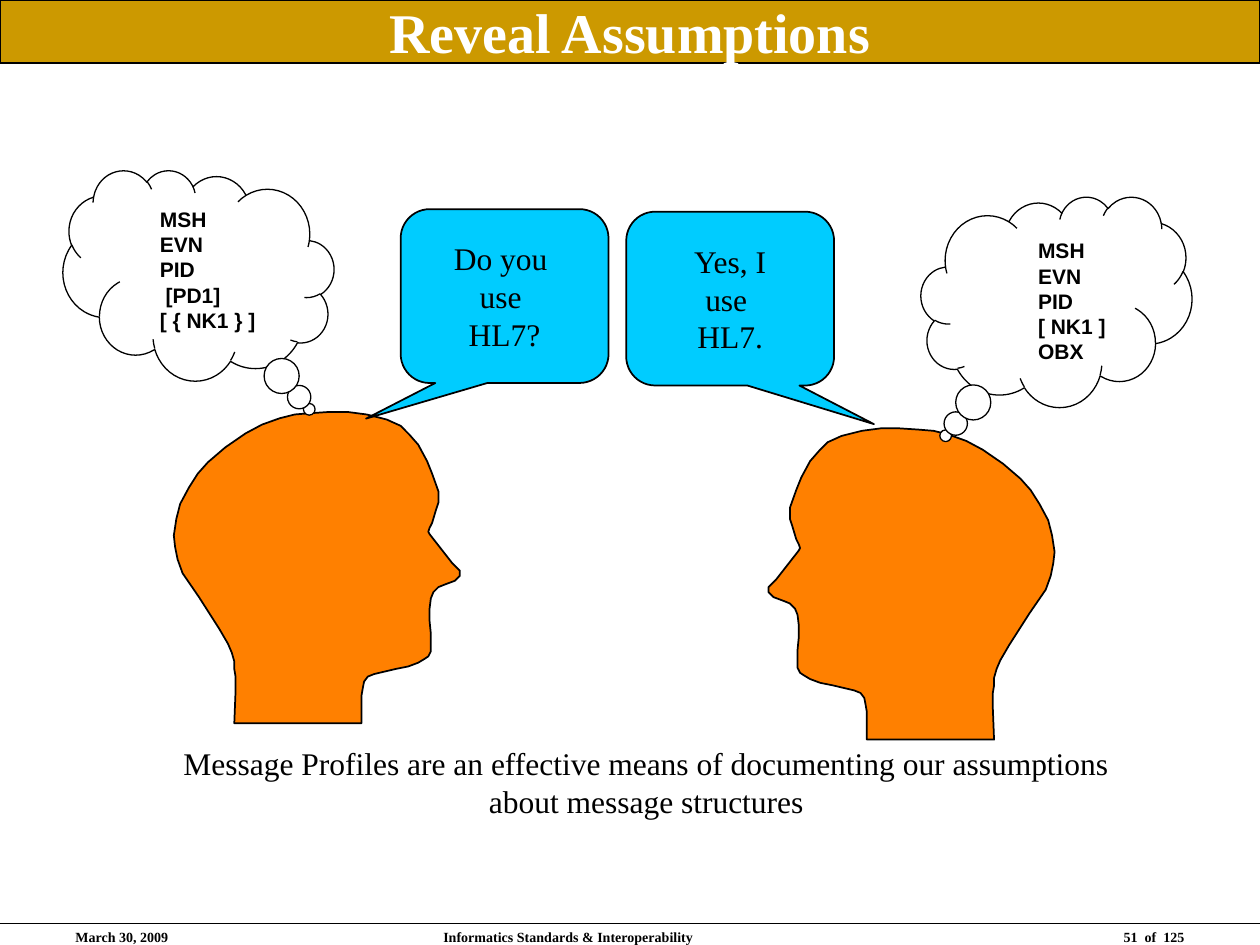
from dataclasses import dataclass

from pptx import Presentation
from pptx.dml.color import RGBColor
from pptx.enum.shapes import MSO_CONNECTOR, MSO_SHAPE
from pptx.enum.text import MSO_ANCHOR, MSO_AUTO_SIZE, PP_ALIGN
from pptx.oxml import parse_xml
from pptx.oxml.ns import nsdecls
from pptx.shapes.autoshape import Shape
from pptx.slide import Slide
from pptx.util import Emu, Pt

LEFT, CENTER, RIGHT = PP_ALIGN.LEFT, PP_ALIGN.CENTER, PP_ALIGN.RIGHT
TOP, MIDDLE = MSO_ANCHOR.TOP, MSO_ANCHOR.MIDDLE
RECTANGLE = MSO_SHAPE.RECTANGLE
SPEECH = MSO_SHAPE.ROUNDED_RECTANGULAR_CALLOUT
THOUGHT = MSO_SHAPE.CLOUD_CALLOUT
FIT_SHAPE = MSO_AUTO_SIZE.SHAPE_TO_FIT_TEXT
STRAIGHT = MSO_CONNECTOR.STRAIGHT

EMU_PER_PX = 9144  # 100 px to the inch
SLIDE_WIDTH, SLIDE_HEIGHT = 1000, 750


@dataclass(frozen=True)
class TextStyle:
    font: str
    size: int
    color: str = "000000"
    bold: bool = False


@dataclass(frozen=True)
class Theme:
    black: str = "000000"
    white: str = "FFFFFF"
    gold: str = "CC9900"
    cyan: str = "00CCFF"
    orange: str = "FF8000"
    thin: float = 0.75
    medium: float = 1
    title: TextStyle = TextStyle("Times New Roman", 32, "FFFFFF", True)
    body: TextStyle = TextStyle("Times New Roman", 18)
    segments: TextStyle = TextStyle("Arial", 12, bold=True)
    footer: TextStyle = TextStyle("Times New Roman", 8, bold=True)


THEME = Theme()


@dataclass(frozen=True)
class Box:
    left: int
    top: int
    width: int
    height: int

    def emu(self) -> list[Emu]:
        return [px(n) for n in (self.left, self.top, self.width, self.height)]


@dataclass(frozen=True)
class Speaker:
    head: tuple[int, int]
    mirrored: bool
    speech: Box
    tail: tuple[float, float]
    words: tuple[str, ...]
    cloud: Box
    segment_box: Box
    segments: tuple[str, ...]


# Head outline facing right, relative to its top left corner
HEAD_WIDTH = 227
HEAD_OUTLINE = [
    (149, 247), (149, 225), (150, 219), (151, 214), (154, 210), (159, 208),
    (176, 204), (186, 202), (194, 199), (199, 196), (202, 194), (204, 190),
    (204, 184), (204, 176), (203, 166), (203, 156), (204, 148), (206, 143),
    (210, 139), (215, 137), (223, 134), (225, 132), (227, 130), (227, 126),
    (224, 123), (221, 120), (203, 97), (202, 95), (203, 92), (205, 88),
    (208, 78), (210, 72), (210, 63), (205, 49), (201, 39), (194, 26),
    (187, 18), (180, 11), (169, 6), (153, 2), (138, 0), (123, 0),
    (108, 1), (96, 2), (84, 5), (70, 10), (57, 17), (41, 28),
    (34, 34), (27, 40), (19, 49), (12, 60), (5, 73), (2, 85),
    (0, 98), (1, 107), (3, 117), (7, 128), (20, 147), (36, 172),
    (43, 184), (46, 191), (48, 198), (48, 204), (49, 210), (49, 222),
    (48, 247),
]

SPEAKERS = [
    Speaker((138, 327), False, Box(318, 166, 165, 138), (-0.667, 0.705),
            ("Do you ", "use ", "HL7?"), Box(50, 135, 215, 167),
            Box(117, 159, 142, 110),
            ("MSH", "EVN", "PID", " [PD1]", "[ { NK1 } ]")),
    Speaker((610, 340), True, Box(497, 168, 165, 138), (-0.692, 0.722),
            ("Yes, I", "use ", "HL7."), Box(731, 156, 215, 167),
            Box(814, 184, 142, 110),
            ("MSH", "EVN", "PID", "[ NK1 ]", "OBX")),
]

FOOTERS = [
    (Box(50, 732, 233, 17), "March 30, 2009", LEFT),
    (Box(342, 732, 317, 17), "Informatics Standards & Interoperability", LEFT),
    (Box(717, 732, 233, 17), "51  of  125", RIGHT),
]


def px(length: int) -> Emu:
    return Emu(length * EMU_PER_PX)


def write(shape: Shape, lines: tuple[str, ...], style: TextStyle,
          align: PP_ALIGN = LEFT, anchor: MSO_ANCHOR = TOP,
          wrap: bool = True) -> None:
    frame = shape.text_frame
    frame.word_wrap = wrap
    frame.vertical_anchor = anchor
    for index, line in enumerate(lines):
        paragraph = frame.add_paragraph() if index else frame.paragraphs[0]
        paragraph.alignment = align
        run = paragraph.add_run()
        run.text = line
        run.font.name = style.font
        run.font.size = Pt(style.size)
        run.font.bold = style.bold
        run.font.color.rgb = RGBColor.from_string(style.color)


def paint(shape: Shape, fill: str, line_width: float) -> None:
    shape.shadow.inherit = False
    shape.fill.solid()
    shape.fill.fore_color.rgb = RGBColor.from_string(fill)
    shape.line.color.rgb = RGBColor.from_string(THEME.black)
    shape.line.width = Pt(line_width)


def add_preset(slide: Slide, kind: MSO_SHAPE, box: Box, fill: str,
               line_width: float, adjustments: tuple[float, ...] = (),
               flipped: bool = False) -> Shape:
    shape = slide.shapes.add_shape(kind, *box.emu())
    paint(shape, fill, line_width)
    for index, value in enumerate(adjustments):
        shape.adjustments[index] = value
    if flipped:
        shape.element.spPr.xfrm.set("flipH", "1")
    return shape


def add_head(slide: Slide, speaker: Speaker) -> None:
    left, top = speaker.head
    points = [(left + (HEAD_WIDTH - x if speaker.mirrored else x), top + y)
              for x, y in HEAD_OUTLINE]
    builder = slide.shapes.build_freeform(*points[0], scale=EMU_PER_PX)
    builder.add_line_segments(points[1:], close=True)
    paint(builder.convert_to_shape(), THEME.orange, THEME.medium)


def add_balloons(slide: Slide, speaker: Speaker) -> None:
    speech = add_preset(slide, SPEECH, speaker.speech, THEME.cyan, THEME.medium,
                        (*speaker.tail, 0.167), speaker.mirrored)
    write(speech, speaker.words, THEME.body, CENTER, MIDDLE,
          wrap=not speaker.mirrored)
    add_preset(slide, THOUGHT, speaker.cloud, THEME.white, THEME.thin,
               (-0.409, 0.637), not speaker.mirrored)
    segments = slide.shapes.add_textbox(*speaker.segment_box.emu())
    write(segments, speaker.segments, THEME.segments)
    segments.text_frame.auto_size = FIT_SHAPE


def add_footer(slide: Slide) -> None:
    rule = slide.shapes.add_connector(STRAIGHT, px(0), px(733),
                                      px(SLIDE_WIDTH), px(733))
    rule.line.color.rgb = RGBColor.from_string(THEME.black)
    rule.line.width = Pt(THEME.thin)
    rule.element.spPr.append(parse_xml(f"<a:effectLst {nsdecls('a')}/>"))
    for box, text, align in FOOTERS:
        write(slide.shapes.add_textbox(*box.emu()), (text,), THEME.footer, align)


def main() -> None:
    presentation = Presentation()
    presentation.slide_width = px(SLIDE_WIDTH)
    presentation.slide_height = px(SLIDE_HEIGHT)
    slide = presentation.slides.add_slide(presentation.slide_layouts[6])

    add_footer(slide)
    for speaker in SPEAKERS:
        add_head(slide, speaker)

    # Conclusion below the heads
    conclusion = slide.shapes.add_textbox(*Box(135, 586, 756, 70).emu())
    write(conclusion,
          ("Message Profiles are an effective means of documenting our assumptions",
           "about message structures"), THEME.body, CENTER, wrap=False)
    conclusion.text_frame.auto_size = FIT_SHAPE

    # Title band
    title = add_preset(slide, RECTANGLE, Box(0, 0, SLIDE_WIDTH, 50),
                       THEME.gold, THEME.thin)
    write(title, ("Reveal Assumptions",), THEME.title, CENTER, MIDDLE)

    for speaker in SPEAKERS:
        add_balloons(slide, speaker)
    presentation.save("out.pptx")


if __name__ == "__main__":
    main()
